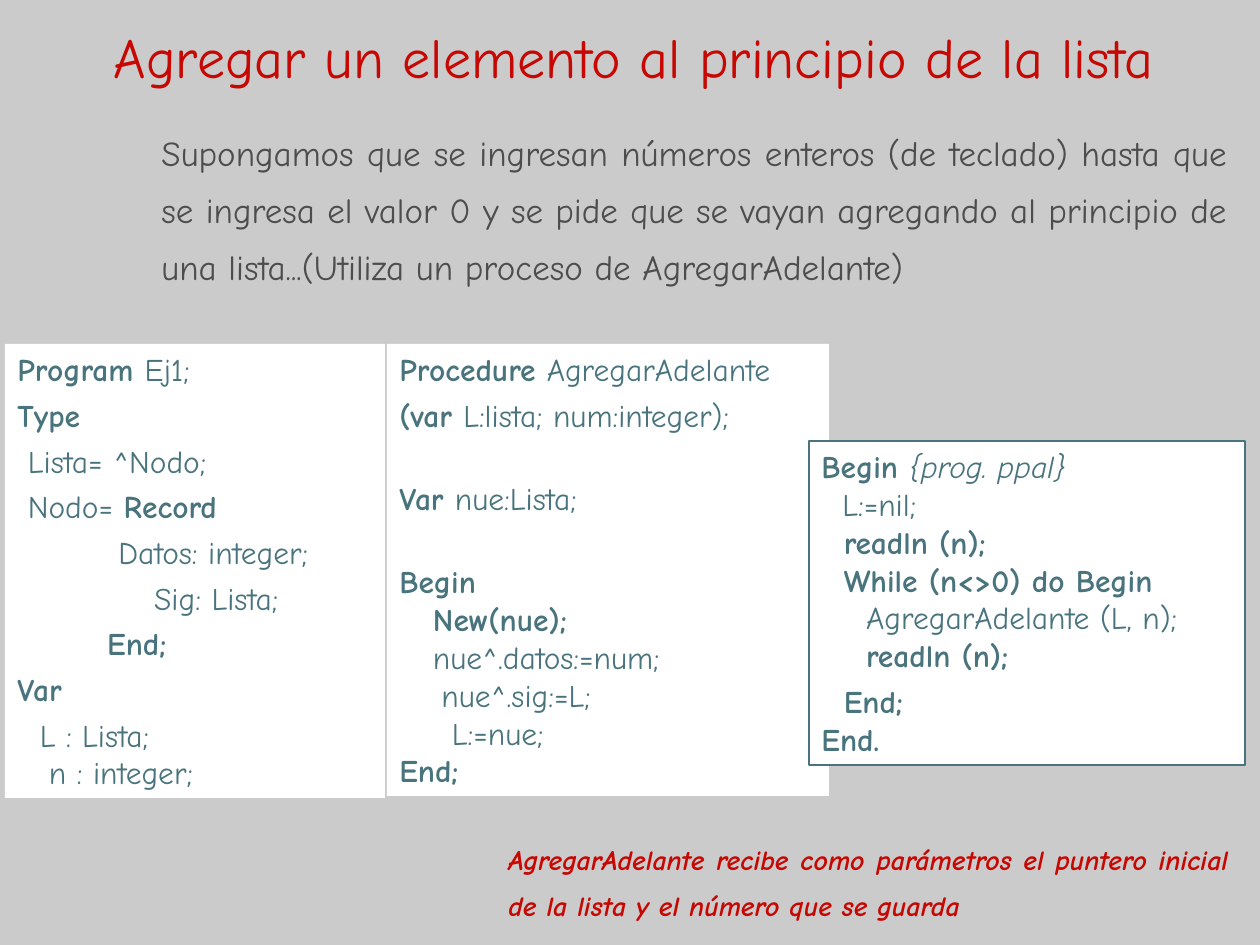
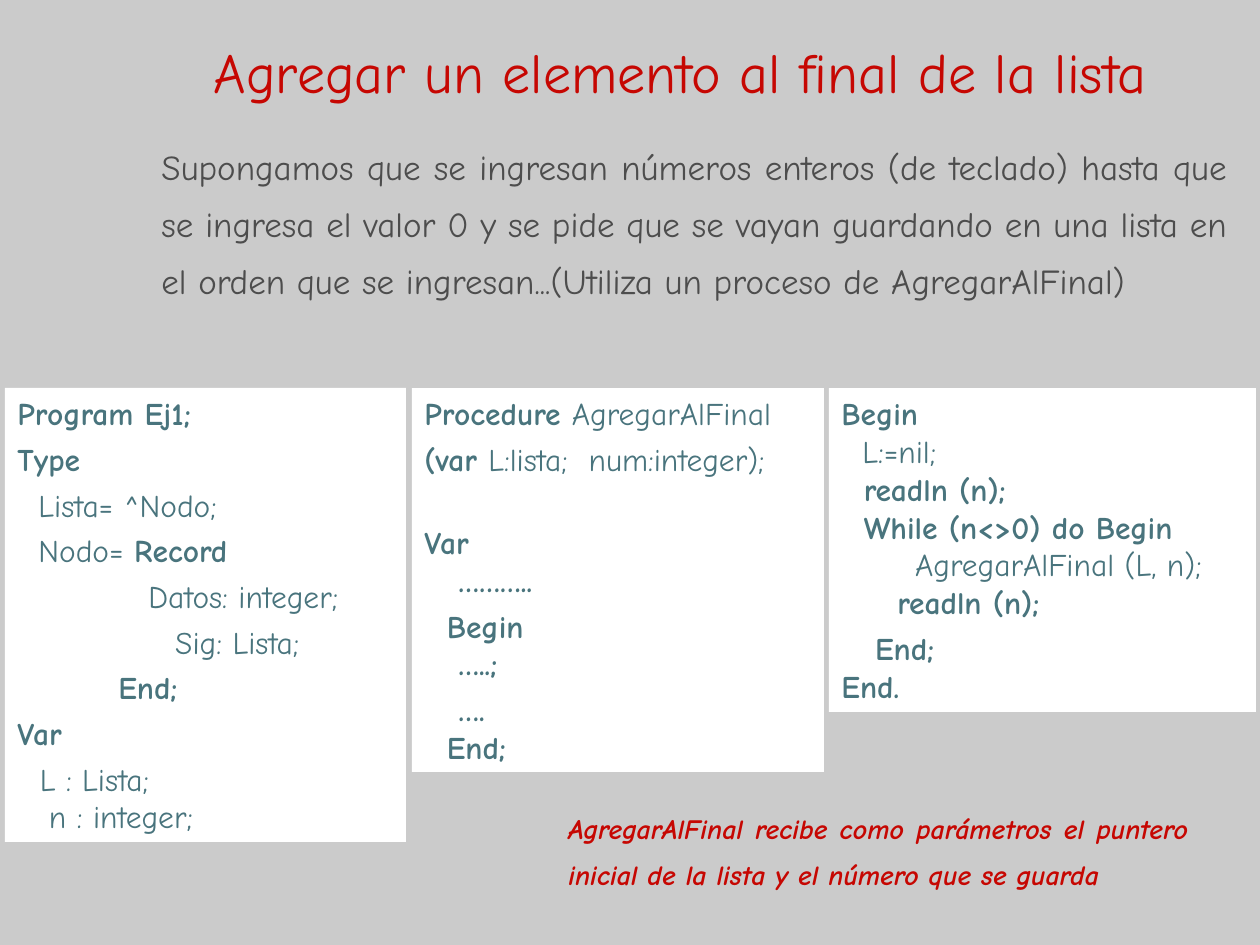
from dataclasses import dataclass

from pptx import Presentation
from pptx.dml.color import RGBColor
from pptx.enum.shapes import MSO_SHAPE
from pptx.enum.text import MSO_ANCHOR, MSO_AUTO_SIZE, PP_ALIGN
from pptx.util import Emu, Pt

PX_PER_INCH = 126


@dataclass(frozen=True)
class Theme:
    font: str = "Comic Neue"
    background: str = "CBCBCB"
    panel: str = "FFFFFF"
    code: str = "49747D"
    accent: str = "C60702"
    body: str = "4D4D4D"
    title_size: int = 32
    body_size: int = 20
    code_size: int = 18
    note_size: int = 16
    code_gap: float = 4.5
    blank_line_gap: float = 26
    prose_spacing: float = 1.35


def px(length):
    return Emu(round(length * 914400 / PX_PER_INCH))


def color(value):
    return RGBColor.from_string(value)


def split_marks(text):
    """Yield (piece, bold, italic); *stars* mark bold, _underscores_ italic."""
    for star_index, star_piece in enumerate(text.split("*")):
        for index, piece in enumerate(star_piece.split("_")):
            yield piece, star_index % 2 == 1, index % 2 == 1


class Deck:
    def __init__(self, theme):
        self.theme = theme
        self.presentation = Presentation()
        self.presentation.slide_width = px(1260)
        self.presentation.slide_height = px(945)
        fill = self.presentation.slide_master.background.fill
        fill.solid()
        fill.fore_color.rgb = color(theme.background)
        self.slide = None

    def add_slide(self):
        title_only = self.presentation.slide_layouts[5]
        self.slide = self.presentation.slides.add_slide(title_only)

    def set_text(self, shape, paragraphs, *, size, text_color, align=PP_ALIGN.LEFT,
                 anchor=MSO_ANCHOR.TOP, line_spacing=None):
        """Fill a shape; a paragraph ending in a newline is followed by a wide gap."""
        frame = shape.text_frame
        frame.word_wrap = True
        frame.auto_size = MSO_AUTO_SIZE.NONE
        frame.vertical_anchor = anchor
        gap = 0
        for index, text in enumerate(paragraphs):
            paragraph = frame.add_paragraph() if index else frame.paragraphs[0]
            paragraph.alignment = align
            paragraph.space_before = Pt(gap)
            if line_spacing:
                paragraph.line_spacing = line_spacing
            wide = text.endswith("\n")
            gap = self.theme.blank_line_gap if wide else self.theme.code_gap
            for piece, bold, italic in split_marks(text.rstrip("\n")):
                for line_index, line in enumerate(piece.split("\n")):
                    if line_index:
                        paragraph.add_line_break()
                    if line:
                        run = paragraph.add_run()
                        run.text = line
                        run.font.name = self.theme.font
                        run.font.size = Pt(size)
                        run.font.bold = bold
                        run.font.italic = italic
                        run.font.color.rgb = color(text_color)

    def title(self, text, left, top, width, height=141):
        shape = self.slide.shapes.title
        shape.left, shape.top = px(left), px(top)
        shape.width, shape.height = px(width), px(height)
        self.set_text(shape, [text], size=self.theme.title_size,
                      text_color=self.theme.accent, align=PP_ALIGN.CENTER,
                      anchor=MSO_ANCHOR.MIDDLE)

    def prose(self, text, left, top, width, height, size, text_color):
        box = self.slide.shapes.add_textbox(*map(px, (left, top, width, height)))
        self.set_text(box, [text], size=size, text_color=text_color,
                      align=PP_ALIGN.JUSTIFY, line_spacing=self.theme.prose_spacing)

    def intro(self, text, top):
        self.prose(text, 149, top, 1091, 183, self.theme.body_size, self.theme.body)

    def note(self, text, left, top, width):
        self.prose(f"*_{text}_*", left, top, width, 103,
                   self.theme.note_size, self.theme.accent)

    def code(self, paragraphs, left, top, width, height, outlined=False):
        panel = self.slide.shapes.add_shape(
            MSO_SHAPE.RECTANGLE, *map(px, (left, top, width, height)))
        panel.shadow.inherit = False
        panel.fill.solid()
        panel.fill.fore_color.rgb = color(self.theme.panel)
        if outlined:
            panel.line.color.rgb = color(self.theme.code)
            panel.line.width = Pt(0.75)
        else:
            panel.line.fill.background()
        self.set_text(panel, paragraphs, size=self.theme.code_size,
                      text_color=self.theme.code)


VARIABLES = ["*Var*", "*  *L : Lista;\n   n : integer;"]

TYPES_FOR_START = [
    "*Program *Ej1;",
    "*Type*",
    " Lista= ^Nodo;",
    " Nodo= *Record*",
    "*         *Datos: integer;",
    "             Sig: Lista;",
    "*        End;*",
    *VARIABLES,
]
ADD_AT_START = [
    "*Procedure *AgregarAdelante",
    "*(var *L:lista; num:integer);\n",
    "*Var *nue:Lista;\n",
    "*Begin\n   New(nue);\n   *nue^.datos:=num;\n"
    "    nue^.sig:=L;\n     L:=nue;\n*End;*",
]
MAIN_FOR_START = [
    "*Begin *_{prog. ppal}\n  _L:=nil;\n"
    "*  readln (n);\n  While (n<>0) do Begin\n    *AgregarAdelante (L, n);\n"
    "*    readln (n);*",
    "*  End;\nEnd.*",
]

TYPES_FOR_END = [
    "*Program Ej1;*",
    "*Type*",
    "  Lista= ^Nodo;",
    "  Nodo= *Record*",
    "*       *     Datos: integer;",
    "               Sig: Lista;",
    "*         End;*",
    *VARIABLES,
]
ADD_AT_END = [
    "*Procedure *AgregarAlFinal",
    "*(var *L:lista;  num:integer);\n",
    "*Var\n   ………..*",
    "*  Begin\n   …..;*",
    "*   ….\n  End;*",
]
MAIN_FOR_END = [
    "*Begin*\n  L:=nil;\n"
    "*  readln (n);\n  While (n<>0) do Begin*\n       AgregarAlFinal (L, n);\n"
    "*     readln (n);*",
    "*   End;\nEnd.*",
]


def add_at_start_slide(deck):
    deck.add_slide()
    deck.title("Agregar un elemento al principio de la lista", 54, -14, 1160)
    deck.intro("Supongamos que se ingresan números enteros (de teclado) hasta que "
               "se ingresa el valor 0 y se pide que se vayan agregando al principio "
               "de una lista...(Utiliza un proceso de AgregarAdelante)", 111)
    deck.code(TYPES_FOR_START, 5, 344, 380, 454)
    deck.code(ADD_AT_START, 387, 344, 442, 452)
    deck.code(MAIN_FOR_START, 809, 441, 436, 324, outlined=True)
    deck.note("AgregarAdelante recibe como parámetros el puntero inicial de la "
              "lista y el número que se guarda", 496, 825, 745)


def add_at_end_slide(deck):
    deck.add_slide()
    deck.title("Agregar un elemento al final de la lista", 159, 1, 1043)
    deck.intro("Supongamos que se ingresan números enteros (de teclado) hasta que "
               "se ingresa el valor 0 y se pide que se vayan guardando en una lista "
               "en el orden que se ingresan...(Utiliza un proceso de AgregarAlFinal)",
               125)
    deck.code(TYPES_FOR_END, 5, 388, 401, 454)
    deck.code(ADD_AT_END, 412, 388, 412, 384)
    deck.code(MAIN_FOR_END, 829, 388, 427, 324)
    deck.note("AgregarAlFinal recibe como parámetros el puntero inicial de la "
              "lista y el número que se guarda", 556, 794, 645)


def main():
    deck = Deck(Theme())
    add_at_start_slide(deck)
    add_at_end_slide(deck)
    deck.presentation.save("out.pptx")


if __name__ == "__main__":
    main()
